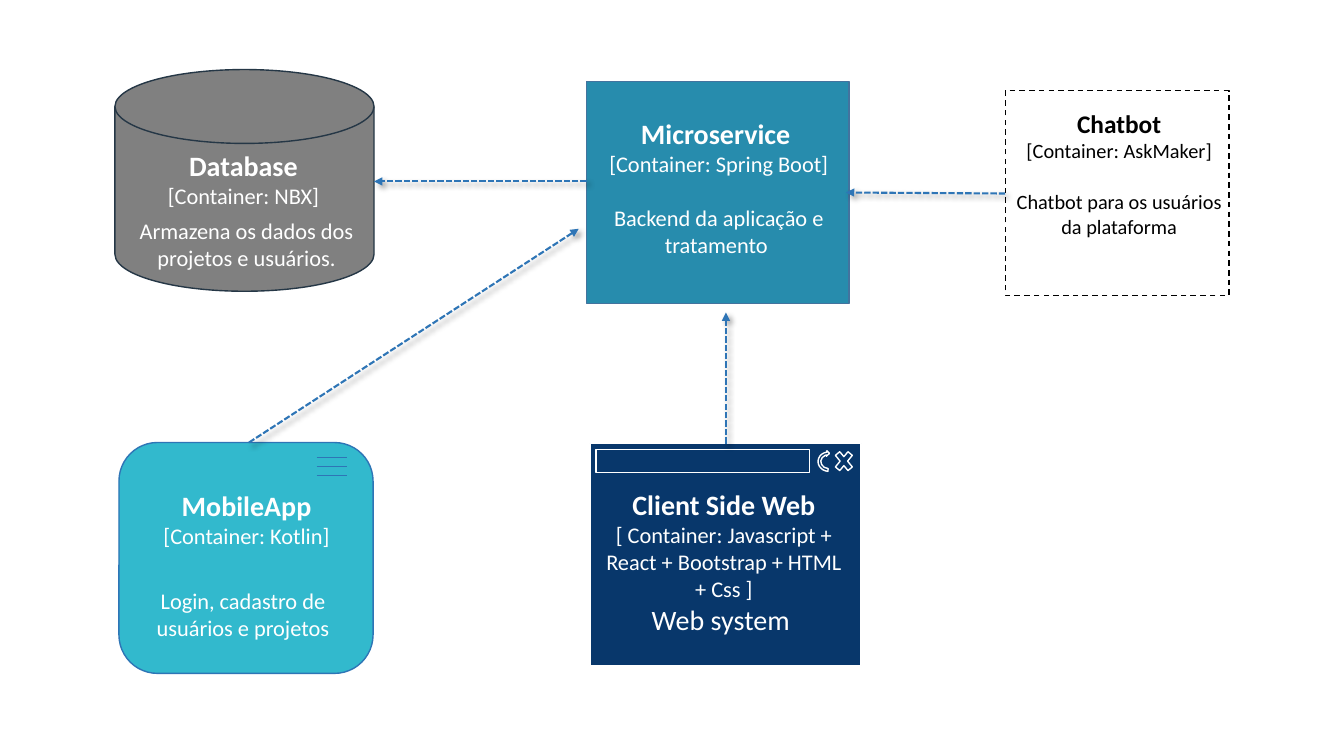
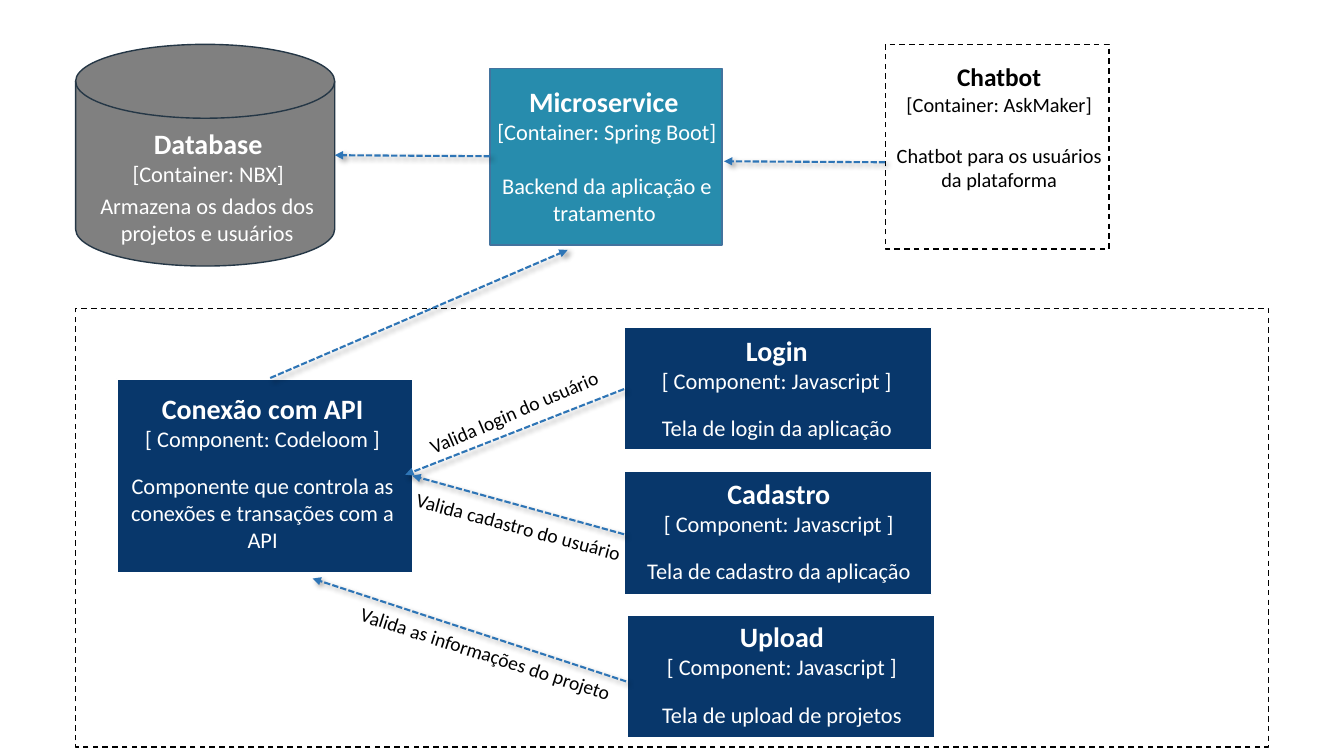
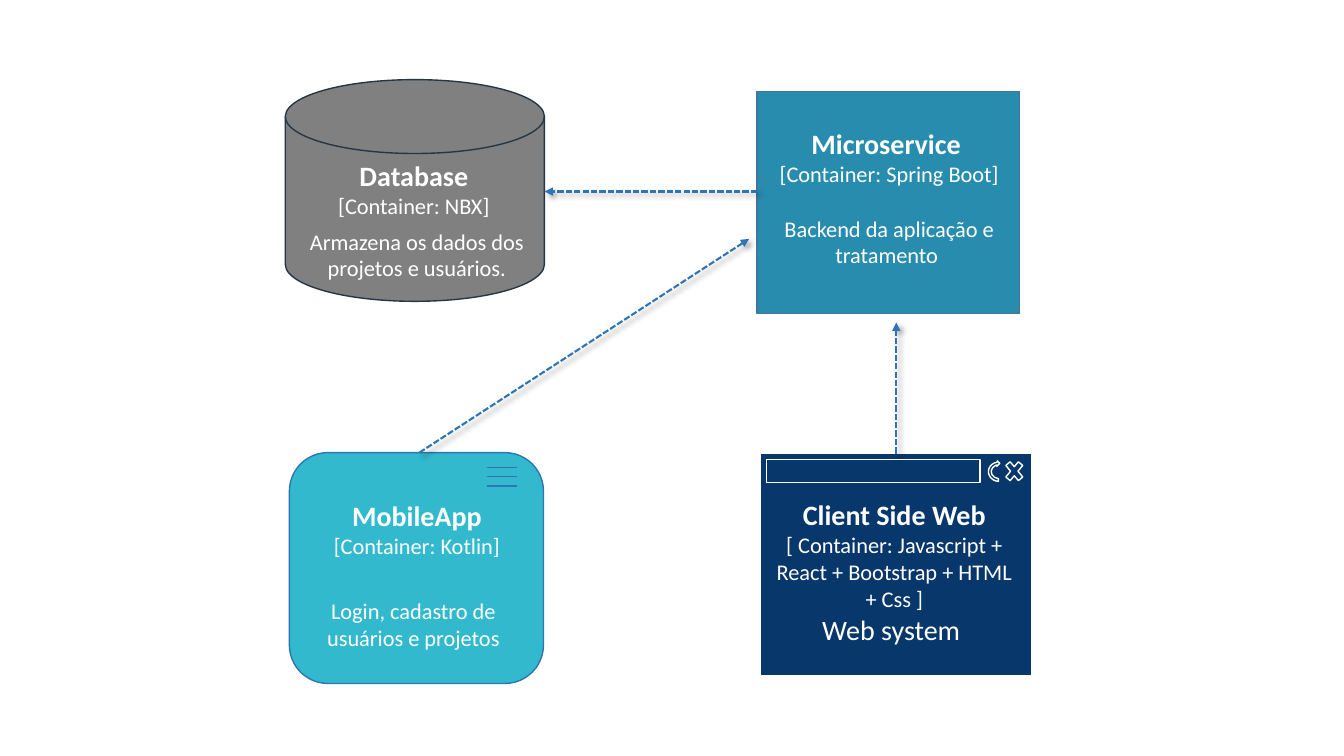
from dataclasses import dataclass
from lxml.etree import SubElement
from pptx import Presentation
from pptx.dml.color import RGBColor
from pptx.enum.dml import MSO_LINE
from pptx.enum.shapes import MSO_CONNECTOR, MSO_SHAPE
from pptx.enum.text import PP_ALIGN
from pptx.oxml.ns import qn
from pptx.util import Inches, Pt


@dataclass(frozen=True)
class Theme:
    font = "Calibri"
    white = "FFFFFF"
    black = "000000"
    grey = "808080"
    edge = "253746"
    teal = "278CAD"
    rim = "43739E"
    navy = "08376B"
    cyan = "32B9CD"
    blue = "2E75B6"
    thin = 1
    bold = 1.5
    styles = {
        "head": (20, True, white),
        "lead": (20, False, white),
        "body": (16, False, white),
        "bot": (18.1, True, black),
        "note": (14.5, False, black),
        "label": (14, False, black),
    }


T = Theme()
BOX = MSO_SHAPE.RECTANGLE

DATA = [("Database", "head", 0), ("[Container: NBX]", "body", 0)]
STORE = "Armazena os dados dos projetos e usuários"
SERVE = [
    ("Microservice ", "head", 0),
    ("[Container: Spring Boot]", "body", 0),
    ("Backend da aplicação e tratamento ", "body", 19.5),
]
WEB = [
    ("Client Side Web", "head", 0),
    ("[ Container: Javascript + React + Bootstrap + HTML + Css ]", "body", 0),
    ("Web system ", "lead", 0),
]
APP = [("MobileApp", "head", 0), ("[Container: Kotlin]", "body", 0)]
ENTRY = [("Login, cadastro de usuários e projetos", "body", 0)]
BOT = [("Chatbot", "bot", 0), ("[Container: AskMaker]", "note", 0)]
HELP = [("Chatbot para os usuários da plataforma", "note", 0)]

CARDS = [
    ("Conexão com API", "Codeloom",
     "Componente que controla as conexões e transações com a API",
     (1.16, 3.76, 2.93, 1.92), (0, 0.07)),
    ("Login", "Javascript", "Tela de login da aplicação",
     (6.19, 3.25, 3.05, 1.21), (0.01, 0.01)),
    ("Cadastro", "Javascript", "Tela de cadastro da aplicação",
     (6.19, 4.68, 3.05, 1.22), (0.03, 0)),
    ("Upload", "Javascript", "Tela de upload de projetos",
     (6.22, 6.1, 3.05, 1.22), (0.03, 0)),
]
LABELS = [
    ("Valida login do usuário", 3.91, 2.99, 336.6),
    ("Valida cadastro do usuário", 3.93, 5.62, 14.9),
    ("Valida as informações do projeto", 3.33, 6.91, 17.8),
]
FLOWS = [
    (7.2, 4.4, 7.2, 3.1),
    (5.82, 1.8, 3.71, 1.8),
    (2.47, 4.39, 5.74, 2.27),
]
ASK = (9.97, 1.92, 8.39, 1.91)
LINKS = [
    (2.68, 3.75, 5.63, 2.48),
    (4.86, 1.55, 3.32, 1.54),
    (6.19, 3.86, 4.02, 4.71),
    (6.19, 5.3, 4.09, 4.72),
    (8.78, 1.61, 7.18, 1.6),
    (6.21, 6.76, 3.1, 5.74),
]


def ink(code):
    return RGBColor.from_string(code)


def shape(host, kind, x, y, w, h, fill, line, dash=False, turn=0):
    item = host.shapes.add_shape(kind, *map(Inches, (x, y, w, h)))
    item.shadow.inherit = False
    item.rotation = turn
    if fill:
        item.fill.solid()
        item.fill.fore_color.rgb = ink(fill)
    else:
        item.fill.background()
    item.line.color.rgb = ink(line)
    item.line.width = Pt(T.thin)
    if dash:
        item.line.dash_style = MSO_LINE.DASH


def text(host, x, y, w, h, lines, align=PP_ALIGN.CENTER, turn=0):
    item = host.shapes.add_textbox(*map(Inches, (x, y, w, h)))
    item.rotation = turn
    frame = item.text_frame
    frame.word_wrap = True
    for i, (words, style, gap) in enumerate(lines):
        para = frame.add_paragraph() if i else frame.paragraphs[0]
        para.text = words
        para.alignment = align
        para.space_before = Pt(gap)
        size, bold, tone = T.styles[style]
        font = para.font
        font.name, font.size, font.bold = T.font, Pt(size), bold
        font.color.rgb = ink(tone)


def rule(host, ends, width):
    item = host.shapes.add_connector(
        MSO_CONNECTOR.STRAIGHT, *map(Inches, ends))
    item.line.color.rgb = ink(T.blue)
    item.line.width = Pt(width)
    return item, SubElement(item._element.spPr, qn("a:effectLst"))


def arrow(host, x1, y1, x2, y2):
    item, glow = rule(host, (x1, y1, x2, y2), T.bold)
    item.line.dash_style = MSO_LINE.SQUARE_DOT
    SubElement(item.line._get_or_add_ln(), qn("a:tailEnd"), type="triangle")
    cast = SubElement(glow, qn("a:outerShdw"), blurRad=str(Pt(4)),
                      dist=str(Pt(3)), dir="2700000", algn="tl",
                      rotWithShape="0")
    tone = SubElement(cast, qn("a:srgbClr"), val=T.black)
    SubElement(tone, qn("a:alpha"), val="40000")


def disk(slide, x, y, end="", dx=-0.13, dy=0.73):
    group = slide.shapes.add_group_shape()
    shape(group, MSO_SHAPE.FLOWCHART_MAGNETIC_DISK,
          x, y, 2.57, 2.2, T.grey, T.edge)
    text(group, x + dx, y + dy, 2.81, 0.71, DATA)
    text(group, x - 0.1, y + 1.42, 2.81, 0.64, [(STORE + end, "body", 0)])


def serve(slide, x, y, w, h, dy):
    group = slide.shapes.add_group_shape()
    shape(group, BOX, x, y, w, h, T.teal, T.rim)
    text(group, x - 0.09, y + dy, w + 0.2, 1.78, SERVE)


def web(slide, x, y):
    group = slide.shapes.add_group_shape()
    shape(group, BOX, x, y, 2.69, 2.2, T.navy, T.white)
    shape(group, BOX, x + 0.06, y + 0.06, 2.12, 0.23, None, T.white)
    shape(group, MSO_SHAPE.MATH_MULTIPLY,
          x + 2.4, y + 0.03, 0.24, 0.29, None, T.white)
    shape(group, MSO_SHAPE.CIRCULAR_ARROW,
          x + 2.26, y + 0.06, 0.22, 0.24, None, T.white, turn=275)
    text(group, x, y + 0.39, 2.66, 1.85, WEB)


def mobile(slide, x, y):
    group = slide.shapes.add_group_shape()
    shape(group, MSO_SHAPE.ROUNDED_RECTANGLE,
          x, y, 2.52, 2.29, T.cyan, T.blue)
    for i in range(3):
        top = y + 0.15 + 0.09 * i
        rule(group, (x + 1.96, top, x + 2.26, top), T.thin)
    text(group, x - 0.14, y + 0.41, 2.81, 0.71, APP)
    text(group, x - 0.03, y + 1.39, 2.52, 0.64, ENTRY)


def chat(slide, x, y):
    group = slide.shapes.add_group_shape()
    shape(group, BOX, x, y, 2.22, 2.03, T.white, T.black, dash=True)
    text(group, x - 0.07, y + 0.12, 2.4, 0.65, BOT)
    text(group, x - 0.07, y + 0.93, 2.4, 0.59, HELP)


def card(slide, name, tech, note, area, shift):
    group = slide.shapes.add_group_shape()
    x, y, w, h = area
    dx, dy = shift
    shape(group, BOX, x, y, w, h, T.navy, T.white)
    text(group, x + dx, y + dy, w - 0.04, h, [
        (name, "head", 0),
        (f"[ Component: {tech} ]", "body", 0),
        (note, "body", 14.6),
    ])


def system(slide, dx=0, dy=0):
    disk(slide, 1.14 + dx, 0.69 + dy, ".")
    serve(slide, 5.82 + dx, 0.81 + dy, 2.6, 2.2, 0.3)
    web(slide, 5.85 + dx, 4.4 + dy)
    mobile(slide, 1.18 + dx, 4.39 + dy)
    for x1, y1, x2, y2 in FLOWS:
        arrow(slide, x1 + dx, y1 + dy, x2 + dx, y2 + dy)


deck = Presentation()
deck.slide_width, deck.slide_height = Inches(13.33), Inches(7.5)
blank = deck.slide_layouts[6]
full, parts, core = [deck.slides.add_slide(blank) for _ in range(3)]

system(full)
chat(full, 9.97, 0.9)
arrow(full, *ASK)

shape(parts, BOX, 0.75, 3.06, 11.83, 4.35, T.white, T.black, dash=True)
disk(parts, 0.75, 0.44, dx=-0.09, dy=0.77)
serve(parts, 4.86, 0.68, 2.3, 1.75, 0.11)
chat(parts, 8.78, 0.44)
for item in CARDS:
    card(parts, *item)
for ends in LINKS:
    arrow(parts, *ends)
for words, x, y, turn in LABELS:
    text(parts, x, y, 6.67, 0.34, [(words, "label", 0)], PP_ALIGN.LEFT, turn)

system(core, 1.69, 0.1)

deck.save("out.pptx")
